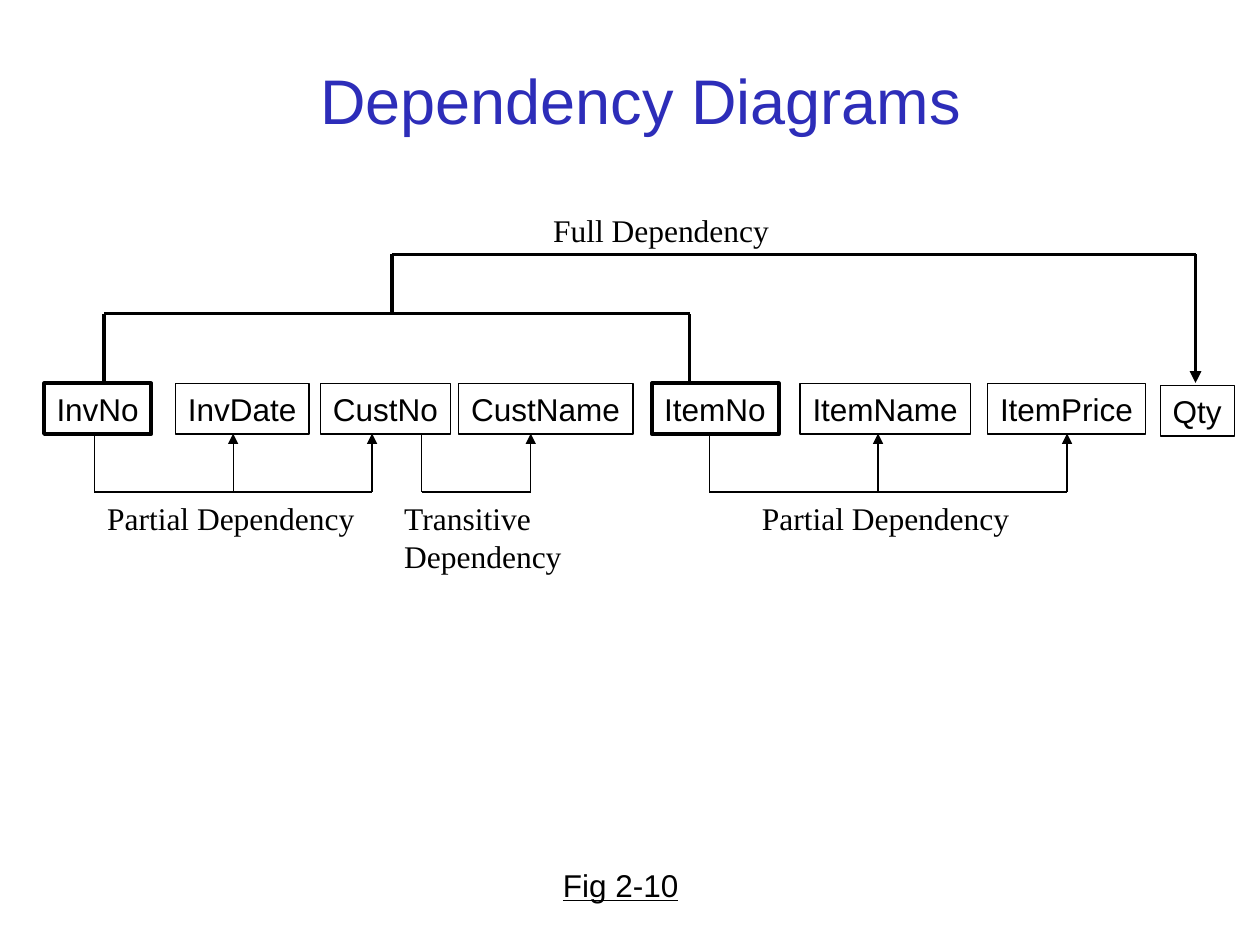
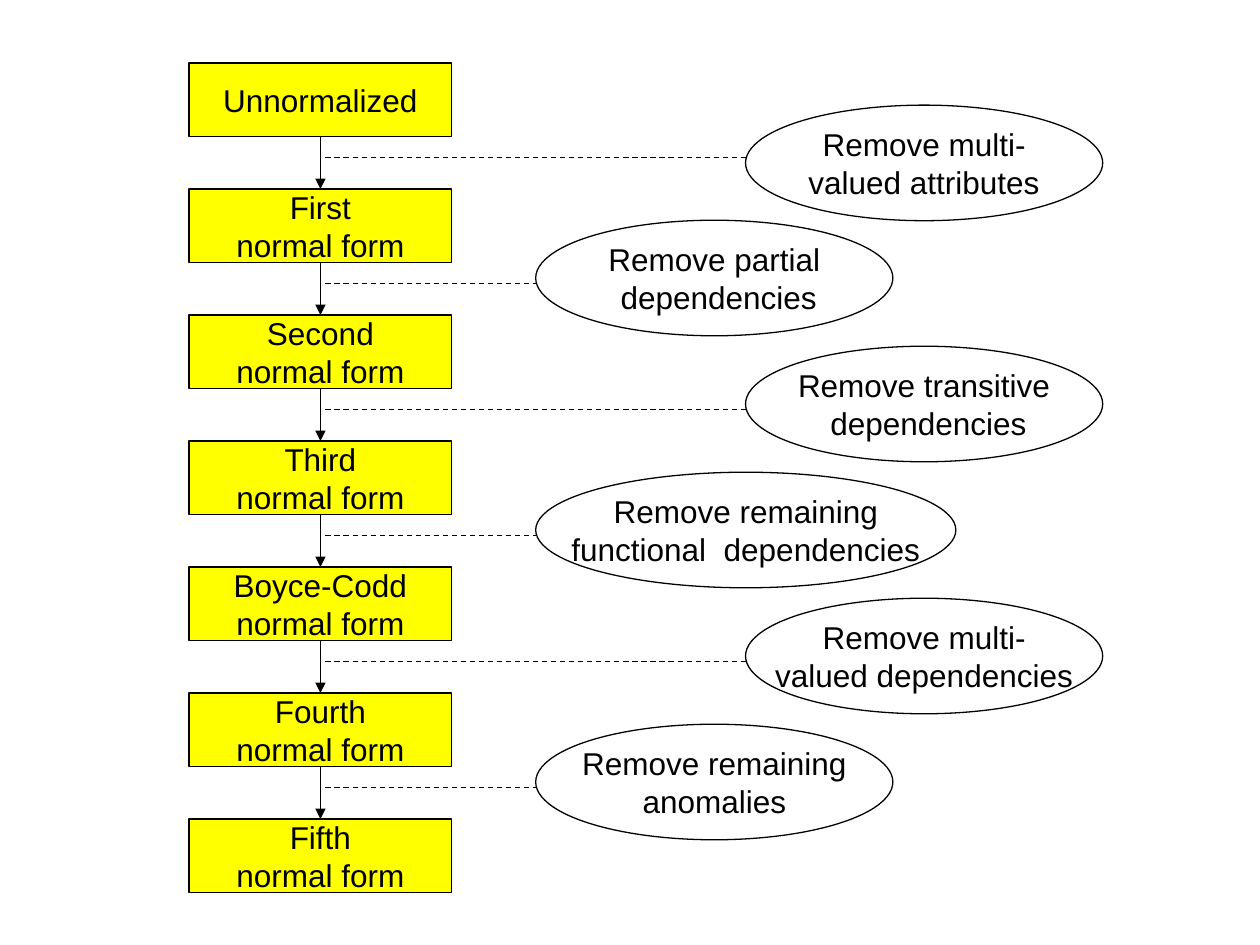
from dataclasses import dataclass

from lxml.etree import SubElement
from pptx import Presentation
from pptx.dml.color import RGBColor
from pptx.enum.dml import MSO_LINE
from pptx.enum.shapes import MSO_CONNECTOR, MSO_SHAPE
from pptx.enum.text import MSO_ANCHOR, MSO_AUTO_SIZE, PP_ALIGN
from pptx.oxml.ns import qn
from pptx.util import Cm, Pt

# Shared style
BLACK, BLUE, YELLOW = "000000", "2D2DB9", "FFFF00"
SANS, SERIF = "Arial", "Times New Roman"
THIN, THICK = 0.75, 2.25
TITLE_ONLY, BLANK = 5, 6
MARGINS = {"margin_left": Cm(0.25), "margin_right": Cm(0.25),
           "margin_top": Cm(0.13), "margin_bottom": Cm(0.13)}
CENTRED = {**MARGINS, "word_wrap": False, "vertical_anchor": MSO_ANCHOR.MIDDLE}
HEADING = {**CENTRED, "word_wrap": True, "auto_size": MSO_AUTO_SIZE.NONE}
# Tight boxes get no right margin, so that their text stays on one line
TIGHT = {**HEADING, "margin_right": Cm(0), "vertical_anchor": MSO_ANCHOR.TOP}
BODY = {"name": SANS, "size": Pt(18)}


@dataclass
class Area:
    """A rectangle on the page, in centimetres."""
    left: float
    top: float
    width: float
    height: float

    def lengths(self) -> tuple:
        return Cm(self.left), Cm(self.top), Cm(self.width), Cm(self.height)


@dataclass
class Attribute:
    name: str
    left: float
    width: float
    is_key: bool = False
    top: float = 7.73


@dataclass
class Dependency:
    label: str
    source: float
    targets: tuple
    area: Area


@dataclass
class Step:
    """A normal form and the action that leads on to the next one."""
    form: str
    action: str = ""
    left: float = 0
    width: float = 7.2


def colour(value: str) -> RGBColor:
    return RGBColor.from_string(value)


def apply(target, values: dict) -> None:
    for name, value in values.items():
        setattr(target, name, value)


def write(box, text: str, frame_format: dict, font: dict,
          align=PP_ALIGN.LEFT, ink: str = BLACK) -> None:
    apply(box.text_frame, frame_format)
    para = box.text_frame.paragraphs[0]
    para.text = text
    para.alignment = align
    for span in para.runs:
        apply(span.font, font)
        span.font.color.rgb = colour(ink)


def add_label(page, text: str, area: Area, **font) -> None:
    box = page.shapes.add_textbox(*area.lengths())
    write(box, text, TIGHT, {**BODY, **font})


def add_box(page, kind, text: str, area: Area, frame_format: dict,
            align=PP_ALIGN.CENTER, fill: str = "", weight: float = THIN) -> None:
    box = page.shapes.add_shape(kind, *area.lengths())
    box.shadow.inherit = False
    if fill:
        box.fill.solid()
        box.fill.fore_color.rgb = colour(fill)
    else:
        box.fill.background()
    box.line.color.rgb = colour(BLACK)
    box.line.width = Pt(weight)
    write(box, text, frame_format, BODY, align)


def add_line(page, start: tuple, end: tuple, weight: float = THIN,
             arrow: bool = False, dashed: bool = False) -> None:
    line = page.shapes.add_connector(
        MSO_CONNECTOR.STRAIGHT, *(Cm(value) for value in start + end))
    line.line.color.rgb = colour(BLACK)
    line.line.width = Pt(weight)
    if dashed:
        line.line.dash_style = MSO_LINE.DASH
    properties = line.element.spPr
    if arrow:
        SubElement(properties.find(qn("a:ln")), qn("a:tailEnd"), type="triangle")
    SubElement(properties, qn("a:effectLst"))


# Dependency diagram
ATTRIBUTES = (
    Attribute("InvNo", 0.89, 2.16, is_key=True),
    Attribute("InvDate", 3.54, 2.69),
    Attribute("CustNo", 6.46, 2.62),
    Attribute("CustName", 9.25, 3.51),
    Attribute("ItemNo", 13.14, 2.56, is_key=True),
    Attribute("ItemName", 16.13, 3.43),
    Attribute("ItemPrice", 19.91, 3.18),
    Attribute("Qty", 23.39, 1.5, top=7.77),
)
DEPENDENCIES = (
    Dependency("Partial Dependency", 1.9, (4.7, 7.5), Area(1.91, 9.93, 5.49, 1.02)),
    Dependency("Partial Dependency", 14.3, (17.7, 21.51), Area(15.11, 9.93, 5.49, 1.02)),
    Dependency("Transitive\nDependency", 8.5, (10.7,), Area(7.9, 9.93, 3.68, 1.78)),
)
ROW_TOP, ROW_BOTTOM, RAIL = 7.72, 8.74, 9.92
KEY_RAIL, FULL_RAIL = 6.32, 5.13
KEY_LEFT, KEY_RIGHT, STEM, QTY = 2.1, 13.9, 7.9, 24.1


def build_dependency_page(deck) -> None:
    page = deck.slides.add_slide(deck.slide_layouts[TITLE_ONLY])
    title = page.shapes.title
    apply(title, dict(zip(("left", "top", "width", "height"),
                          Area(0.85, 0.42, 24.13, 3.17).lengths())))
    write(title, "Dependency Diagrams", HEADING,
          {"name": SANS, "size": Pt(36)}, PP_ALIGN.CENTER, BLUE)

    for item in ATTRIBUTES:
        add_box(page, MSO_SHAPE.RECTANGLE, item.name,
                Area(item.left, item.top, item.width, 1.02), TIGHT,
                PP_ALIGN.LEFT, weight=THICK if item.is_key else THIN)

    # Partial and transitive dependencies below the row
    for item in DEPENDENCIES:
        add_line(page, (item.source, ROW_BOTTOM), (item.source, RAIL))
        add_line(page, (item.source, RAIL), (item.targets[-1], RAIL))
        for target in item.targets:
            add_line(page, (target, RAIL), (target, ROW_BOTTOM), arrow=True)
        add_label(page, item.label, item.area, name=SERIF)

    # Full dependency above the row
    for key in (KEY_LEFT, KEY_RIGHT):
        add_line(page, (key, ROW_TOP), (key, KEY_RAIL), THICK)
    add_line(page, (KEY_LEFT, KEY_RAIL), (KEY_RIGHT, KEY_RAIL), THICK)
    add_line(page, (STEM, KEY_RAIL), (STEM, FULL_RAIL), THICK)
    add_line(page, (STEM, FULL_RAIL), (QTY, FULL_RAIL), THICK)
    add_line(page, (QTY, FULL_RAIL), (QTY, ROW_TOP), THICK, arrow=True)
    add_label(page, "Full Dependency", Area(10.9, 4.12, 4.85, 1.02), name=SERIF)

    add_label(page, "Fig 2-10", Area(11.1, 17.32, 2.82, 1.02), underline=True)


# Normalization steps
NEAR, FAR = 10.8, 15.03
STEPS = (
    Step("Unnormalized", "Remove multi-\nvalued attributes", FAR),
    Step("First\nnormal form", "Remove partial\n dependencies", NEAR),
    Step("Second\nnormal form", "Remove transitive\n dependencies", FAR),
    Step("Third\nnormal form", "Remove remaining\nfunctional  dependencies", NEAR, 8.47),
    Step("Boyce-Codd\nnormal form", "Remove multi-\nvalued dependencies", FAR),
    Step("Fourth\nnormal form", "Remove remaining\nanomalies", NEAR),
    Step("Fifth\nnormal form"),
)
PITCH = 2.54
FORM_LEFT, FORM_TOP, FORM_WIDTH, FORM_HEIGHT = 3.81, 1.27, 5.3, 1.48
ACTION_HEIGHT = 2.33


def build_normalization_page(deck) -> None:
    page = deck.slides.add_slide(deck.slide_layouts[BLANK])
    centre = FORM_LEFT + FORM_WIDTH / 2
    for index, step in enumerate(STEPS):
        top = FORM_TOP + index * PITCH
        add_box(page, MSO_SHAPE.RECTANGLE, step.form,
                Area(FORM_LEFT, top, FORM_WIDTH, FORM_HEIGHT), CENTRED, fill=YELLOW)
        if not step.action:
            continue
        add_line(page, (centre, top + FORM_HEIGHT), (centre, top + PITCH), arrow=True)
        # The first action sits slightly lower than the others
        action_top = top + (0.85 if index == 0 else 0.63)
        add_box(page, MSO_SHAPE.OVAL, step.action,
                Area(step.left, action_top, step.width, ACTION_HEIGHT), CENTRED)
        add_line(page, (centre + 0.1, top + 1.91), (step.left, top + 1.91), dashed=True)


def main() -> None:
    deck = Presentation()
    deck.slide_width, deck.slide_height = Cm(25.4), Cm(19.05)
    build_dependency_page(deck)
    build_normalization_page(deck)
    deck.save("out.pptx")


if __name__ == "__main__":
    main()
